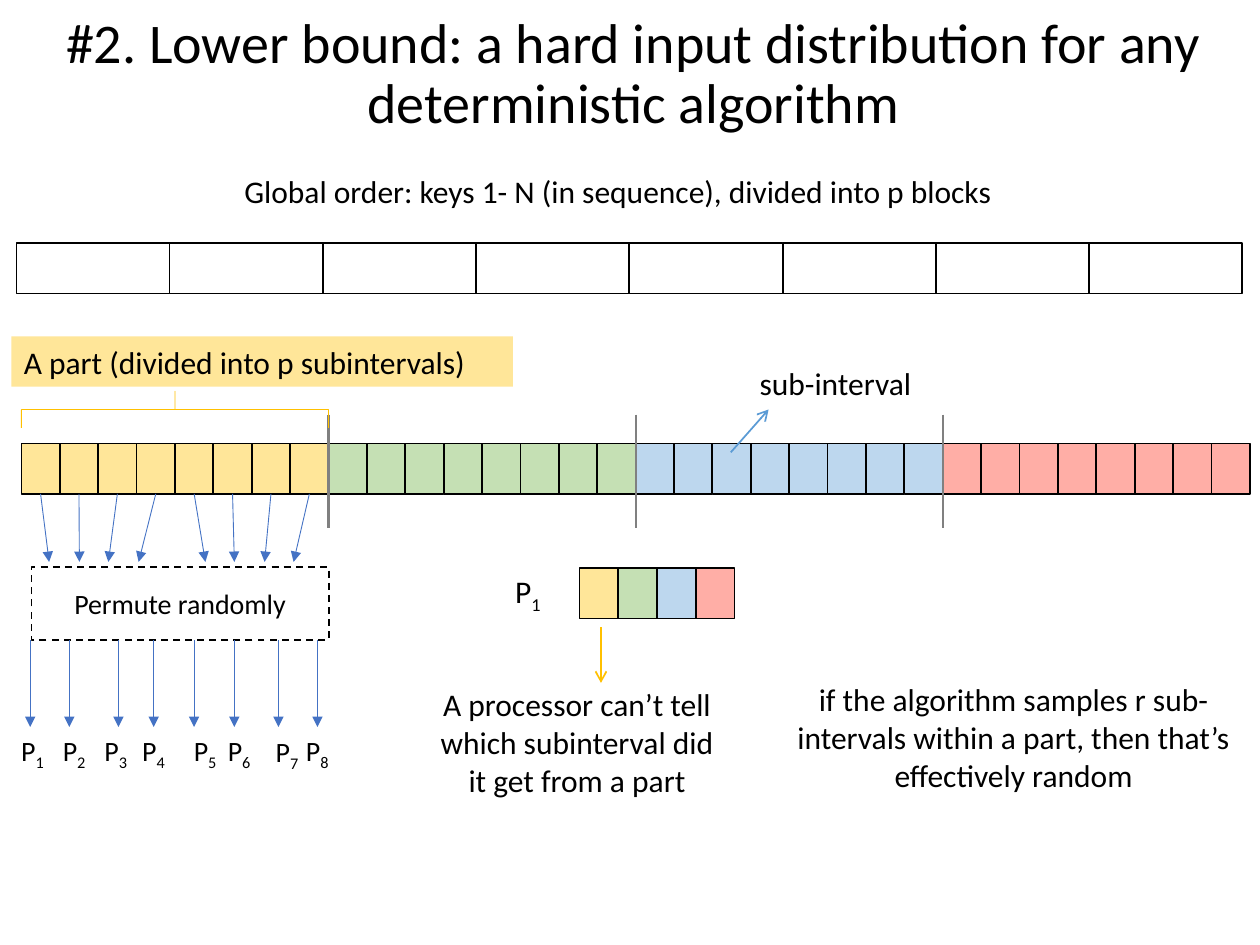
from lxml.etree import SubElement
from pptx import Presentation
from pptx.dml.color import RGBColor
from pptx.enum.dml import MSO_LINE
from pptx.enum.shapes import MSO_CONNECTOR, MSO_SHAPE
from pptx.enum.text import MSO_ANCHOR, MSO_AUTO_SIZE, PP_ALIGN
from pptx.oxml.ns import qn
from pptx.util import Inches, Pt

COLORS = {
    "black": "000000", "white": "FFFFFF", "divider": "808080",
    "yellow": "FFE699", "green": "C5E0B4", "blue": "BDD7EE", "red": "FFAEA6",
    "permute": "4472C4", "processor": "FFC000", "callout": "5B9BD5",
}
PART_COLORS = ["yellow", "green", "blue", "red"]
PARTS, PROCESSORS = len(PART_COLORS), 8


def rgb(name):
    return RGBColor.from_string(COLORS[name])


def write(shape, text, size=18, align=PP_ALIGN.LEFT, anchor=MSO_ANCHOR.TOP,
          subscript="", insets=(0.1, 0.05), spacing=None):
    frame = shape.text_frame
    frame.word_wrap = True
    frame.auto_size = MSO_AUTO_SIZE.NONE
    frame.vertical_anchor = anchor
    frame.margin_left = frame.margin_right = Inches(insets[0])
    frame.margin_top = frame.margin_bottom = Inches(insets[1])
    paragraph = frame.paragraphs[0]
    paragraph.alignment = align
    if spacing:
        paragraph.line_spacing = spacing
    for part in filter(None, (text, subscript)):
        run = paragraph.add_run()
        run.text = part
        run.font.name, run.font.size = "Calibri", Pt(size)
        run.font.color.rgb = rgb("black")
    if subscript:
        run.font._element.set("baseline", "-25000")


def add_label(shapes, box, text, **style):
    label = shapes.add_textbox(*map(Inches, box))
    write(label, text, **style)


def add_box(shapes, box, fill, line="black"):
    rect = shapes.add_shape(MSO_SHAPE.RECTANGLE, *map(Inches, box))
    rect.shadow.inherit = False
    rect.fill.solid()
    rect.fill.fore_color.rgb = rgb(fill)
    if line:
        rect.line.color.rgb = rgb(line)
        rect.line.width = Pt(1)
    else:
        rect.line.fill.background()
    return rect


def add_line(shapes, start, end, color, width, head=None):
    line = shapes.add_connector(MSO_CONNECTOR.STRAIGHT,
                                *map(Inches, (*start, *end)))
    line.line.color.rgb = rgb(color)
    line.line.width = Pt(width)
    if head:
        SubElement(line.line._get_or_add_ln(), qn("a:tailEnd"), type=head)
    SubElement(line._element.spPr, qn("a:effectLst"))
    return line


def add_row(shapes, box, fills):
    """Split the box evenly into one cell per fill."""
    left, top, width, height = box
    step = width / len(fills)
    return [add_box(shapes, (left + i * step, top, step, height), fill)
            for i, fill in enumerate(fills)]


def add_title(slide, box):
    title = slide.shapes.title
    title.left, title.top, title.width, title.height = map(Inches, box)
    write(title, "#2. Lower bound: a hard input distribution for any "
          "deterministic algorithm", size=32, align=PP_ALIGN.CENTER,
          anchor=MSO_ANCHOR.MIDDLE, spacing=0.9)


def add_global_order(shapes, box):
    left, top, width, height = box
    add_label(shapes, (left + 1.71, top, 7.01, 0.4),
              "Global order: keys 1- N (in sequence), divided into p blocks")
    add_row(shapes.add_group_shape().shapes,
            (left, top + height - 0.4, width, 0.4), ["white"] * PROCESSORS)


def add_parts(shapes, box):
    """Draw the parts and return their subinterval cells."""
    left, top, width, height = box
    part_width = width / PARTS
    cells = add_row(shapes, box, [color for color in PART_COLORS
                                  for _ in range(PROCESSORS)])
    for i in range(1, PARTS):
        x = left + i * part_width
        add_line(shapes, (x, top - 0.23), (x, top + height + 0.27),
                 "divider", 1.25)

    # Brace over the first part, turned to point up at its label
    depth = 0.29
    brace = shapes.add_shape(
        MSO_SHAPE.LEFT_BRACE, Inches(left + (part_width - depth) / 2),
        Inches(top - 0.27 - part_width / 2), Inches(depth), Inches(part_width))
    brace.rotation = 90
    brace.adjustments[0], brace.adjustments[1] = 0, 0.5
    brace.shadow.inherit = False
    brace.fill.background()
    brace.line.color.rgb = rgb("processor")
    brace.line.width = Pt(0.5)
    part_label = add_box(shapes, (left - 0.08, top - 0.85, 3.98, 0.4),
                         "yellow", line=None)
    write(part_label, "A part (divided into p subintervals)")

    # Sub-interval callout
    add_line(shapes, (5.8, top + 0.07), (6.1, top - 0.27), "callout", 1, "arrow")
    add_label(shapes, (5.93, top - 0.68, 2.07, 0.4), "sub-interval")
    return cells


def add_permutation(shapes, box, subintervals):
    left, top, width, height = box
    bottom = top + height
    permute = add_box(shapes, box, "white")
    permute.line.dash_style = MSO_LINE.DASH
    write(permute, "Permute randomly", size=16, align=PP_ALIGN.CENTER,
          anchor=MSO_ANCHOR.MIDDLE, insets=(0.04, 0.05))

    # Subintervals enter the permutation
    entries = [0.39, 0.63, 0.86, 1.1, 1.63, 1.86, 2.1, 2.33]
    for cell, x in zip(subintervals, entries):
        arrow = add_line(shapes, (x, top - 0.59), (x, top - 0.04),
                         "permute", 0.5, "triangle")
        arrow.begin_connect(cell, 2)

    # Each output goes to one processor
    exits = [0.24, 0.55, 0.94, 1.22, 1.54, 1.86, 2.21, 2.52]
    label_lefts = [0.07, 0.4, 0.73, 1.03, 1.44, 1.71, 2.09, 2.33]
    for number, (x, label_left) in enumerate(zip(exits, label_lefts), 1):
        add_line(shapes, (x, bottom), (x, bottom + 0.69),
                 "permute", 0.5, "triangle")
        label_top = bottom + (0.65 if number == 7 else 0.64)
        add_label(shapes, (label_left, label_top, 0.47, 0.39), "P", size=16,
                  subscript=str(number), insets=(0.1, 0.1))


def add_processor_view(shapes, box):
    left, top, width, height = box
    add_label(shapes, (left + 0.63, top, 0.47, 0.39), "P",
              subscript="1", insets=(0.1, 0.1))
    add_row(shapes.add_group_shape().shapes,
            (left + 1.24, top + 0.07, 1.23, 0.4), PART_COLORS)
    add_line(shapes, (left + 1.41, top + 0.54), (left + 1.41, top + 0.98),
             "processor", 1, "arrow")
    add_label(shapes, (left, top + height - 1.01, width, 1.01),
              "A processor can’t tell which subinterval did it get from a part",
              align=PP_ALIGN.CENTER)


def main():
    prs = Presentation()
    prs.slide_width, prs.slide_height = Inches(10), Inches(7.5)
    slide = prs.slides.add_slide(prs.slide_layouts[5])
    shapes = slide.shapes

    add_title(slide, (0, 0.01, 10.06, 1.18))
    add_global_order(shapes, (0.13, 1.32, 9.73, 1.01))
    cells = add_parts(shapes, (0.17, 3.52, 9.75, 0.4))
    add_permutation(shapes, (0.25, 4.5, 2.36, 0.58), cells[:PROCESSORS])
    add_processor_view(shapes, (3.36, 4.44, 2.44, 1.96))
    # Conclusion
    add_label(shapes, (6.21, 5.35, 3.67, 1.01),
              "if the algorithm samples r sub-intervals within a part, "
              "then that’s effectively random", align=PP_ALIGN.CENTER)
    prs.save("out.pptx")


if __name__ == "__main__":
    main()
